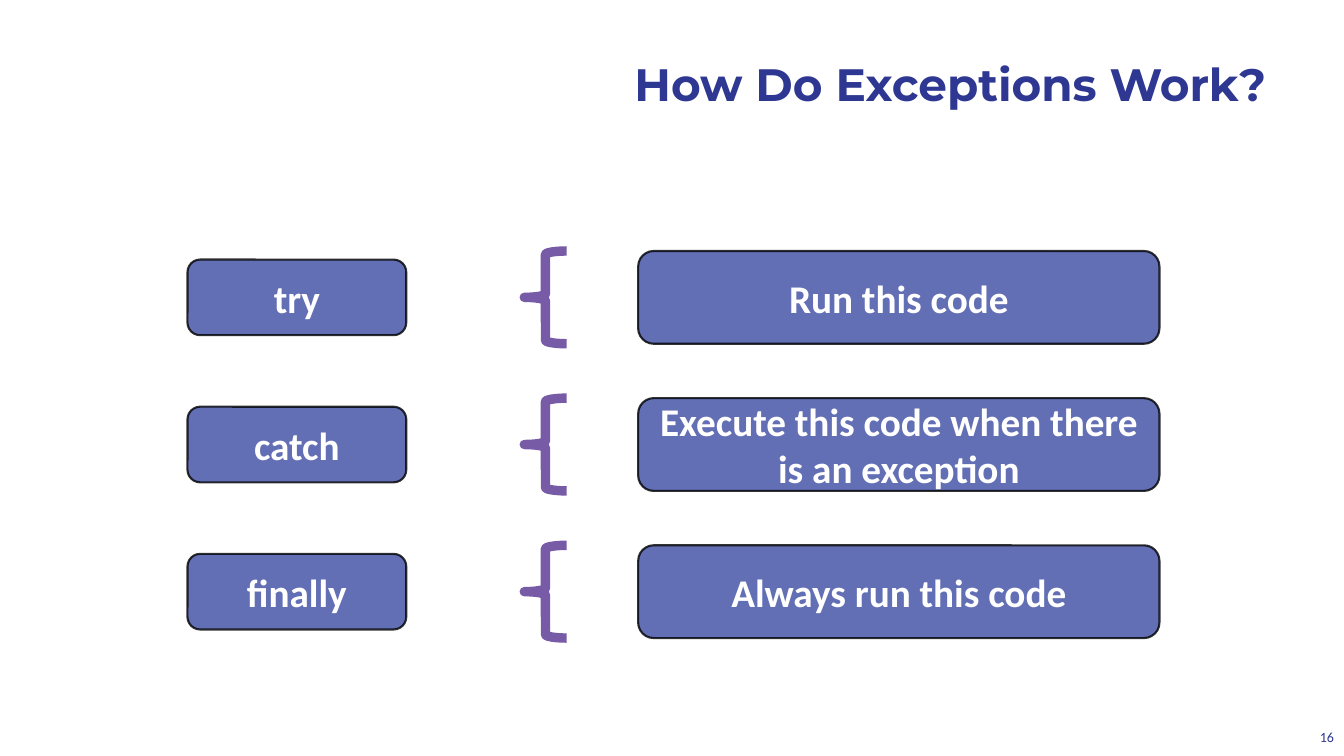
import dataclasses

import pptx
import pptx.dml.color
import pptx.enum.shapes
import pptx.enum.text
import pptx.oxml
import pptx.oxml.ns
import pptx.util

Inches = pptx.util.Inches
Shapes = pptx.enum.shapes.MSO_SHAPE
Align = pptx.enum.text.PP_ALIGN
Anchor = pptx.enum.text.MSO_ANCHOR


@dataclasses.dataclass(frozen=True)
class Theme:
    """Colours, fonts, type sizes and line widths of the slide."""
    heading: str = "2E3791"
    number: str = "2D3791"
    box: str = "3C4CA2"
    outline: str = "000000"
    brace: str = "775BA6"
    light: str = "FFFFFF"
    heading_font: str = "Montserrat"
    body_font: str = "Calibri"
    heading_size: float = 32.4
    body_size: float = 28
    number_size: float = 10
    outline_width: float = 1.5
    brace_width: float = 6.75
    opacity: int = 80


THEME = Theme()
SLIDE_SIZE = (13.33, 7.5)
ROW_TOP, ROW_PITCH, ROW_HEIGHT = 2.49, 1.46, 0.92
COLUMNS = {"keyword": (1.86, 2.17), "brace": (5.2, 0.42), "action": (6.33, 5.17)}
KEYWORD_HEIGHT = 0.75
CLAUSES = [
    ("try", "Run this code"),
    ("catch", "Execute this code when there is an exception"),
    ("finally", "Always run this code"),
]


def colour(code):
    """Turn a hex code into a colour value."""
    return pptx.dml.color.RGBColor.from_string(code)


def set_text(shape, text, align, anchor, code, **font_values):
    """Write one formatted line of text into a shape."""
    frame = shape.text_frame
    frame_values = {"word_wrap": True, "vertical_anchor": anchor,
                    "auto_size": pptx.enum.text.MSO_AUTO_SIZE.NONE,
                    "margin_left": Inches(0.1), "margin_right": Inches(0.1),
                    "margin_top": Inches(0.05), "margin_bottom": Inches(0.05)}
    for name, value in frame_values.items():
        setattr(frame, name, value)
    para = frame.paragraphs[0]
    para.alignment = align
    span = para.add_run()
    span.text = text
    for name, value in font_values.items():
        setattr(span.font, name, value)
    span.font.color.rgb = colour(code)


def make_translucent(shape):
    """Give the fill and the outline of a shape the theme's opacity."""
    for tint in shape.element.spPr.iter(pptx.oxml.ns.qn("a:srgbClr")):
        alpha = pptx.oxml.parse_xml(
            f'<a:alpha {pptx.oxml.ns.nsdecls("a")} val="{THEME.opacity * 1000}"/>')
        tint.append(alpha)


def add_outlined(page, kind, column, row, height, code, width):
    """Add a preset shape centred vertically in its grid row."""
    left, extent = COLUMNS[column]
    top = ROW_TOP + row * ROW_PITCH + (ROW_HEIGHT - height) / 2
    shape = page.shapes.add_shape(
        kind, Inches(left), Inches(top), Inches(extent), Inches(height))
    shape.shadow.inherit = False
    shape.line.color.rgb = colour(code)
    shape.line.width = pptx.util.Pt(width)
    return shape


def add_box(page, column, row, height, text):
    """Add a translucent rounded box with centred bold text."""
    box = add_outlined(page, Shapes.ROUNDED_RECTANGLE, column, row, height,
                       THEME.outline, THEME.outline_width)
    box.fill.solid()
    box.fill.fore_color.rgb = colour(THEME.box)
    make_translucent(box)
    set_text(box, text, Align.CENTER, Anchor.MIDDLE, THEME.light,
             name=THEME.body_font, size=pptx.util.Pt(THEME.body_size), bold=True)


def add_brace(page, row):
    """Add the brace between a keyword and its action."""
    brace = add_outlined(page, Shapes.LEFT_BRACE, "brace", row, ROW_HEIGHT,
                         THEME.brace, THEME.brace_width)
    brace.fill.background()


def add_title(page, text):
    """Place and fill the title placeholder."""
    title = page.shapes.title
    place = {"left": 5.96, "top": 0.51, "width": 6.7, "height": 0.88}
    for name, value in place.items():
        setattr(title, name, Inches(value))
    set_text(title, text, Align.RIGHT, Anchor.TOP, THEME.heading,
             name=THEME.heading_font, size=pptx.util.Pt(THEME.heading_size), bold=True)


def add_page_number(page, text):
    """Put the page number in the bottom right corner."""
    width, height = 0.4, 0.32
    box = page.shapes.add_textbox(
        Inches(SLIDE_SIZE[0] - width), Inches(SLIDE_SIZE[1] - height - 0.06),
        Inches(width), Inches(height))
    set_text(box, text, Align.RIGHT, Anchor.BOTTOM, THEME.number,
             name=THEME.body_font, size=pptx.util.Pt(THEME.number_size))


def main():
    """Build the slide and save the deck."""
    deck = pptx.Presentation()
    deck.slide_width, deck.slide_height = map(Inches, SLIDE_SIZE)
    page = deck.slides.add_slide(deck.slide_layouts.get_by_name("Title Only"))
    add_title(page, "How Do Exceptions Work?")
    add_page_number(page, "16")
    for row, (keyword, action) in enumerate(CLAUSES):
        add_box(page, "keyword", row, KEYWORD_HEIGHT, keyword)
        add_brace(page, row)
        add_box(page, "action", row, ROW_HEIGHT, action)
    deck.save("out.pptx")


if __name__ == "__main__":
    main()
